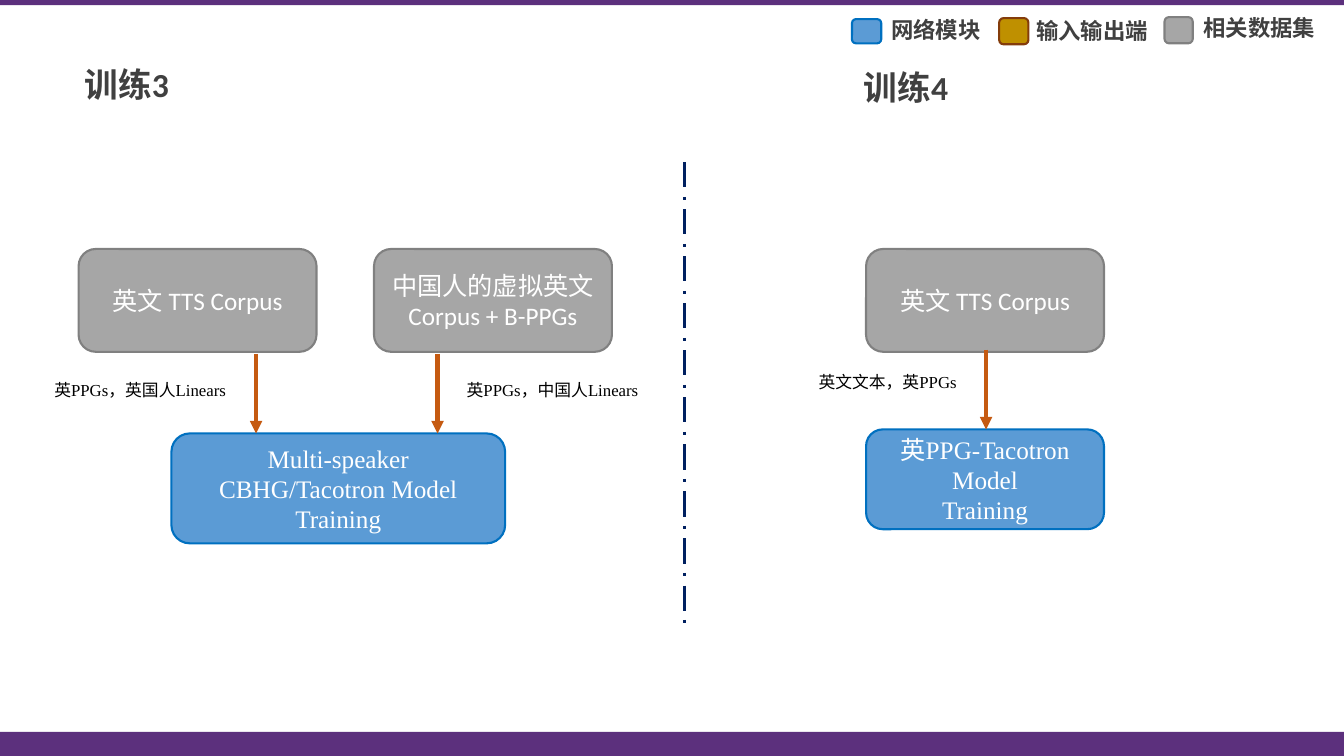
from lxml import etree
from pptx import Presentation
from pptx.dml.color import RGBColor
from pptx.enum.dml import MSO_LINE
from pptx.enum.shapes import MSO_CONNECTOR, MSO_SHAPE
from pptx.enum.text import MSO_ANCHOR, MSO_AUTO_SIZE, PP_ALIGN
from pptx.oxml.ns import qn
from pptx.util import Inches, Pt

PURPLE = RGBColor(0x5C, 0x30, 0x7D)
WHITE = RGBColor(0xFF, 0xFF, 0xFF)
BLACK = RGBColor(0x00, 0x00, 0x00)
DARK = RGBColor(0x40, 0x40, 0x40)
NAVY = RGBColor(0x00, 0x20, 0x60)
ORANGE = RGBColor(0xC5, 0x5A, 0x11)
# Fill and outline of each kind of block
DATASET = RGBColor(0xA6, 0xA6, 0xA6), RGBColor(0x80, 0x80, 0x80)
NETWORK = RGBColor(0x5B, 0x9B, 0xD5), RGBColor(0x00, 0x70, 0xC0)
IN_OUT = RGBColor(0xBF, 0x90, 0x00), RGBColor(0x84, 0x3C, 0x0B)
SANS, SERIF = "Calibri", "Times New Roman"

prs = Presentation()
prs.slide_width, prs.slide_height = Inches(13.33), Inches(7.5)
s = prs.slides.add_slide(prs.slide_layouts[5])


def write(sp, text, size=18, font=SANS, color=WHITE, bold=False,
          align=PP_ALIGN.CENTER, anchor=MSO_ANCHOR.MIDDLE, spacing=None):
    tf = sp.text_frame
    tf.word_wrap = True
    tf.auto_size = MSO_AUTO_SIZE.NONE
    tf.vertical_anchor = anchor
    tf.text = text
    for p in tf.paragraphs:
        p.alignment = align
        p.line_spacing = spacing
        for r in p.runs:
            r.font.size, r.font.name, r.font.bold = Pt(size), font, bold
            r.font.color.rgb = color


def add_block(x, y, w, h, fill, line=None, shape=MSO_SHAPE.ROUNDED_RECTANGLE):
    sp = s.shapes.add_shape(shape, Inches(x), Inches(y), Inches(w), Inches(h))
    sp.shadow.inherit = False
    sp.fill.solid()
    sp.fill.fore_color.rgb = fill
    if line is None:
        sp.line.fill.background()
    else:
        sp.line.color.rgb, sp.line.width = line, Pt(1.5)
    return sp


# Bands along the top and bottom edges
for y, h in [(0, 0.05), (7.26, 0.24)]:
    add_block(0, y, 13.33, h, PURPLE, shape=MSO_SHAPE.RECTANGLE)

# Dataset and network blocks
for x, y, w, h, colors, font, text in [
    (0.78, 2.47, 2.36, 1.02, DATASET, SANS, "英文 TTS Corpus"),
    (3.71, 2.47, 2.36, 1.02, DATASET, SANS, "中国人的虚拟英文 Corpus + B-PPGs"),
    (8.59, 2.47, 2.36, 1.02, DATASET, SANS, "英文 TTS Corpus"),
    (1.7, 4.3, 3.31, 1.09, NETWORK, SERIF, "Multi-speaker CBHG/Tacotron Model Training"),
    (8.59, 4.26, 2.36, 0.99, NETWORK, SERIF, "英PPG-Tacotron Model\nTraining"),
]:
    write(add_block(x, y, w, h, *colors), text, font=font)

# Divider and arrows
for x, top, bottom, color, width in [
    (6.79, 1.61, 6.2, NAVY, 2.25),
    (2.54, 3.51, 4.3, ORANGE, 3),
    (4.34, 3.51, 4.3, ORANGE, 3),
    (9.78, 3.47, 4.26, ORANGE, 3),
]:
    cn = s.shapes.add_connector(MSO_CONNECTOR.STRAIGHT, Inches(x), Inches(top),
                                Inches(x), Inches(bottom))
    cn.line.color.rgb, cn.line.width = color, Pt(width)
    if color == NAVY:
        cn.line.dash_style = MSO_LINE.LONG_DASH_DOT
    else:
        etree.SubElement(cn.line._get_or_add_ln(), qn("a:tailEnd"), type="triangle")
    etree.SubElement(cn._element.spPr, qn("a:effectLst"))

# Arrow labels
for x, y, text in [(0.44, 3.72, "英PPGs，英国人Linears"),
                   (4.53, 3.72, "英PPGs，中国人Linears"),
                   (8.02, 3.64, "英文文本，英PPGs")]:
    label = s.shapes.add_textbox(Inches(x), Inches(y), Inches(2.05), Inches(0.3))
    write(label, text, size=12, font=SERIF, color=BLACK,
          align=PP_ALIGN.LEFT, anchor=MSO_ANCHOR.TOP)

# Headings of the two halves
title = s.shapes.title
title.left, title.top, title.width, title.height = map(Inches, (0.74, 0.58, 2.23, 0.5))
right_heading = s.shapes.add_textbox(Inches(8.47), Inches(0.61), Inches(1.26), Inches(0.5))
for sp, text in [(title, "训练3"), (right_heading, "训练4")]:
    write(sp, text, size=24, color=DARK, bold=True,
          align=PP_ALIGN.LEFT, anchor=MSO_ANCHOR.TOP)

# Legend
for x, y, w, h, colors, text_x, text_y, text in [
    (8.45, 0.19, 0.29, 0.24, NETWORK, 8.74, 0.08, "网络模块"),
    (9.91, 0.18, 0.29, 0.26, IN_OUT, 10.18, 0.09, "输入输出端"),
    (11.55, 0.17, 0.28, 0.26, DATASET, 11.84, 0.06, "相关数据集"),
]:
    add_block(x, y, w, h, *colors)
    label = s.shapes.add_textbox(Inches(text_x), Inches(text_y), Inches(1.36), Inches(0.45))
    write(label, text, size=16, color=DARK, bold=True, spacing=1.1,
          align=PP_ALIGN.LEFT, anchor=MSO_ANCHOR.TOP)

prs.save("out.pptx")
